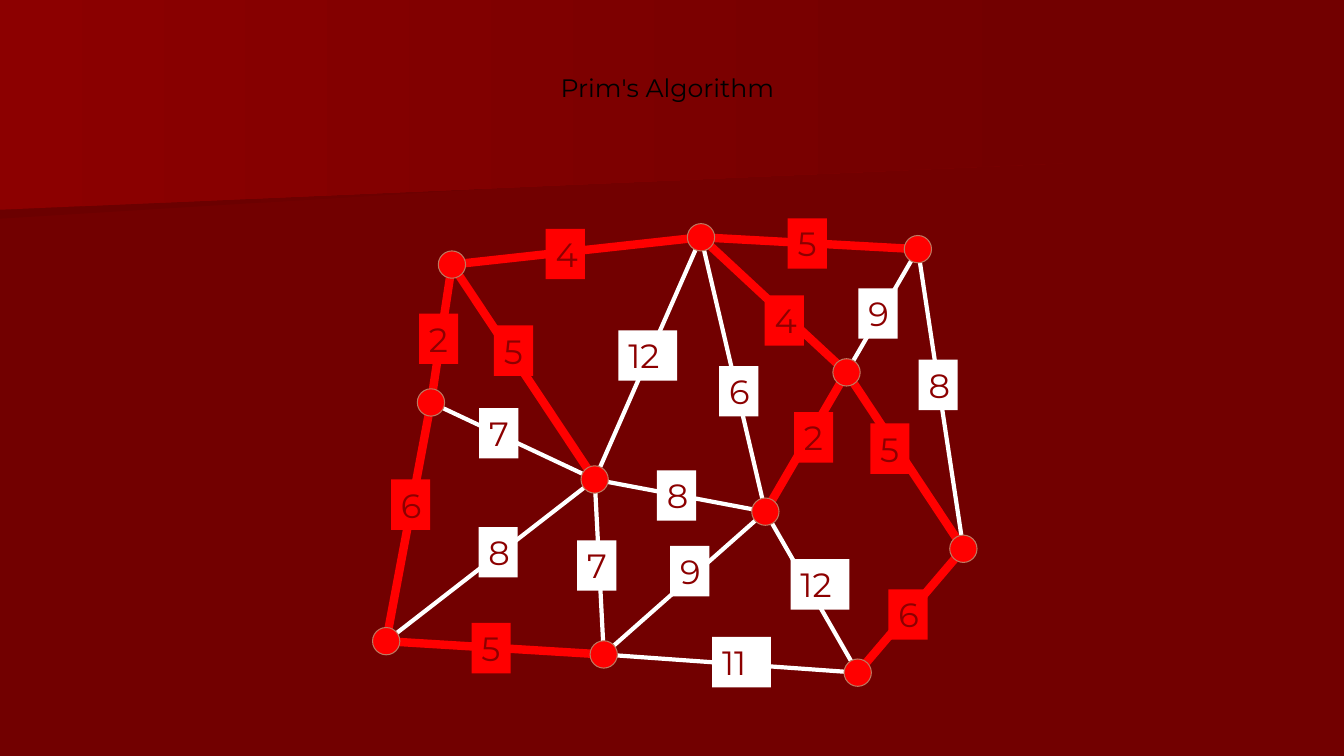
from dataclasses import dataclass

from lxml.etree import SubElement
from pptx import Presentation
from pptx.dml.color import RGBColor
from pptx.enum.shapes import MSO_CONNECTOR as Link, MSO_SHAPE as Preset
from pptx.enum.text import MSO_ANCHOR as Anchor, MSO_AUTO_SIZE as Fit, PP_ALIGN as Align
from pptx.oxml.ns import qn
from pptx.util import Pt


@dataclass(frozen=True)
class Theme:
    font: str = "Montserrat"
    title_size: float = 18
    weight_size: float = 24
    title: str = "000000"
    page: str = "720000"
    glow: str = "8C0000"
    shade: str = "6B0000"
    weight: str = "8C0000"
    tree: str = "FF0000"
    plain: str = "FFFFFF"
    node_line: str = "BE7960"
    tree_width: float = 6
    plain_width: float = 3
    node_width: float = 0.75


THEME = Theme()
PAGE_SIZE = (960.48, 540)
NODE_SIZE = 19.5
LABEL_HEIGHT = 36
LABEL_WIDTHS = {1: 28, 2: 42}  # by number of digits

# Node centres, relative to the graph's box
NODES = {
    "A": (57, 33), "B": (235, 13.5), "C": (390, 22), "D": (42, 131.5),
    "E": (339, 110), "F": (159, 186.5), "G": (281, 209.5), "H": (422.5, 236),
    "I": (10, 302), "J": (165.5, 311.5), "K": (347, 324.5),
}

# Ends, weight, corner of the weight label
TREE_EDGES = [
    ("AD", 2, (33.5, 68)), ("AF", 5, (87, 76.5)), ("BC", 5, (297, 0)),
    ("AB", 4, (124, 7.5)), ("BE", 4, (280.5, 55)), ("EH", 5, (356, 146.5)),
    ("HK", 6, (369, 265)), ("IJ", 5, (71, 289)), ("EG", 2, (301.5, 138.5)),
    ("DI", 6, (13.5, 186.5)),
]
PLAIN_EDGES = [
    ("DF", 7, (76.5, 135.5)), ("CH", 8, (390.5, 101)), ("CE", 9, (347.5, 50)),
    ("BG", 6, (248, 105.5)), ("GK", 12, (299, 243.5)), ("JK", 11, (243, 299)),
    ("FI", 8, (76, 220.5)), ("GJ", 9, (213, 234)), ("FJ", 7, (146.5, 230)),
    ("BF", 12, (176, 80)), ("FG", 8, (203.5, 180)),
]


def color(code):
    return RGBColor.from_string(code)


def write(shape, text, *, size, ink, align=Align.LEFT, fit=Fit.NONE):
    frame = shape.text_frame
    frame.word_wrap = False
    frame.auto_size = fit
    frame.vertical_anchor = Anchor.TOP
    para = frame.paragraphs[0]
    para.alignment = align
    span = para.add_run()
    span.text = text
    span.font.name = THEME.font
    span.font.size = Pt(size)
    span.font.color.rgb = color(ink)


def add_preset(page, preset, box, fill, outline=None):
    shape = page.shapes.add_shape(preset, *map(Pt, box))
    shape.shadow.inherit = False
    shape.fill.solid()
    shape.fill.fore_color.rgb = color(fill)
    if outline:
        shape.line.color.rgb = color(outline)
        shape.line.width = Pt(THEME.node_width)
    else:
        shape.line.fill.background()
    return shape


def add_band(page, box, left_bottom, right_bottom, start):
    """A band that fades to the page colour and has a slanting lower edge."""
    left, top, width = box
    corners = [(left, top), (left + width, top),
               (left + width, top + right_bottom), (left, top + left_bottom)]
    points = [(Pt(x), Pt(y)) for x, y in corners]
    builder = page.shapes.build_freeform(*points[0], scale=1.0)
    builder.add_line_segments(points[1:], close=True)
    band = builder.convert_to_shape()
    band.shadow.inherit = False
    band.line.fill.background()
    band.fill.gradient()
    band.fill.gradient_angle = 0
    for stop, code in zip(band.fill.gradient_stops, (start, THEME.page)):
        stop.color.rgb = color(code)


def add_backdrop(page):
    page.background.fill.solid()
    page.background.fill.fore_color.rgb = color(THEME.page)
    add_band(page, (0, 72.7, 747.5), 83.5, 37.5, THEME.shade)
    add_band(page, (0, 0, 760), 149.8, 116.6, THEME.glow)


def add_title(page, box):
    title = page.shapes.add_textbox(*map(Pt, box))
    write(title, "Prim's Algorithm", size=THEME.title_size,
          ink=THEME.title, align=Align.CENTER)


def add_graph(page, box):
    left, top = box[:2]
    centres = {name: (left + x, top + y) for name, (x, y) in NODES.items()}
    styles = [(PLAIN_EDGES, THEME.plain, THEME.plain_width),
              (TREE_EDGES, THEME.tree, THEME.tree_width)]

    # Edges
    for edges, ink, width in styles:
        for (start, end), _, _ in edges:
            ends = map(Pt, centres[start] + centres[end])
            line = page.shapes.add_connector(Link.STRAIGHT, *ends)
            line.line.color.rgb = color(ink)
            line.line.width = Pt(width)
            SubElement(line._element.spPr, qn("a:effectLst"))

    # Nodes
    for x, y in centres.values():
        corner = (x - NODE_SIZE / 2, y - NODE_SIZE / 2)
        add_preset(page, Preset.OVAL, (*corner, NODE_SIZE, NODE_SIZE),
                   THEME.tree, THEME.node_line)

    # Weights
    for edges, fill, _ in styles:
        for _, weight, (x, y) in edges:
            text = str(weight)
            label_box = (left + x, top + y, LABEL_WIDTHS[len(text)], LABEL_HEIGHT)
            label = add_preset(page, Preset.RECTANGLE, label_box, fill)
            write(label, text, size=THEME.weight_size, ink=THEME.weight,
                  fit=Fit.SHAPE_TO_FIT_TEXT)


def main():
    deck = Presentation()
    deck.slide_width, deck.slide_height = map(Pt, PAGE_SIZE)
    page = deck.slides.add_slide(deck.slide_layouts[6])
    add_backdrop(page)
    add_graph(page, (266, 156, 433, 335))
    add_title(page, (366, 48, 222, 42))
    deck.save("out.pptx")


if __name__ == "__main__":
    main()
